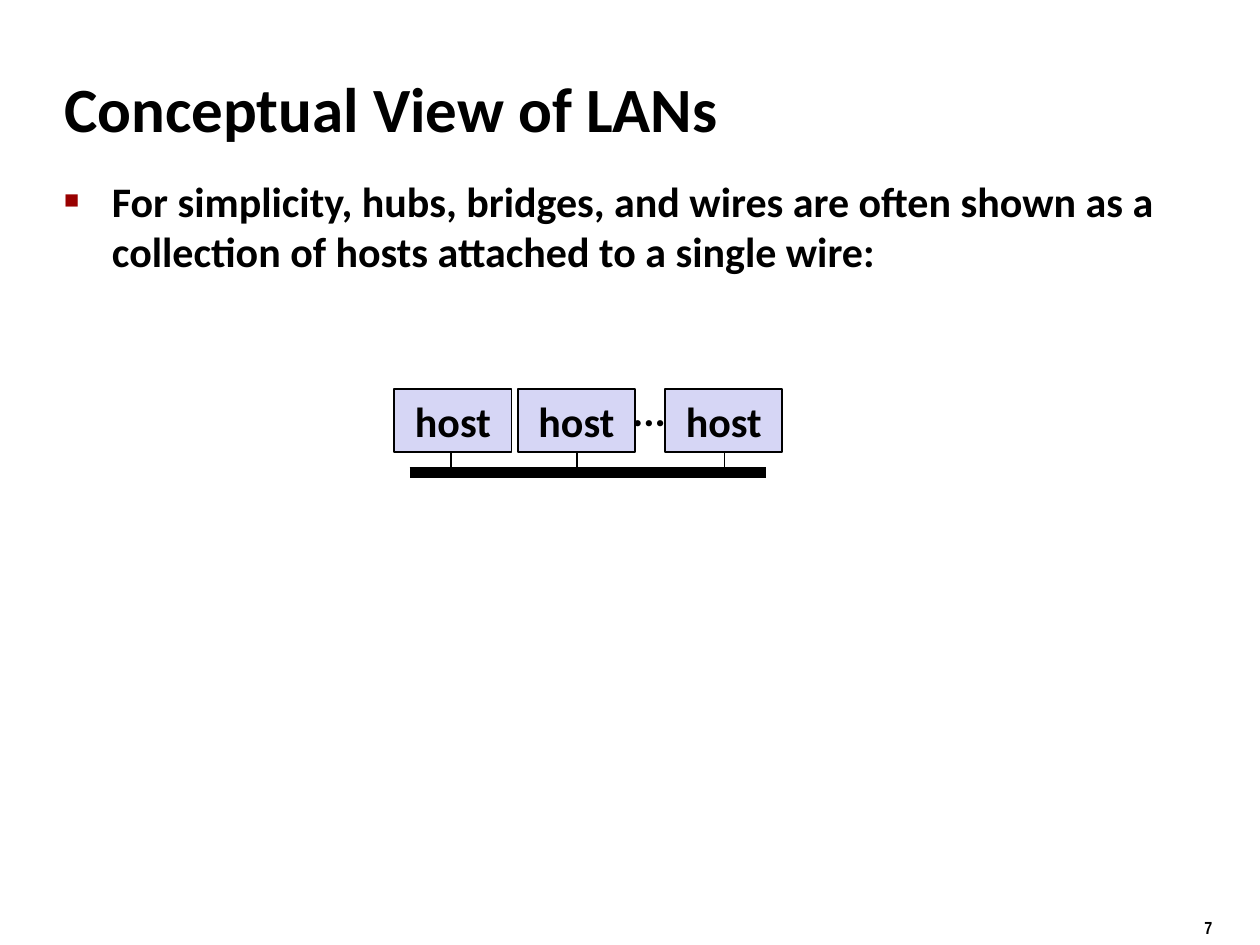
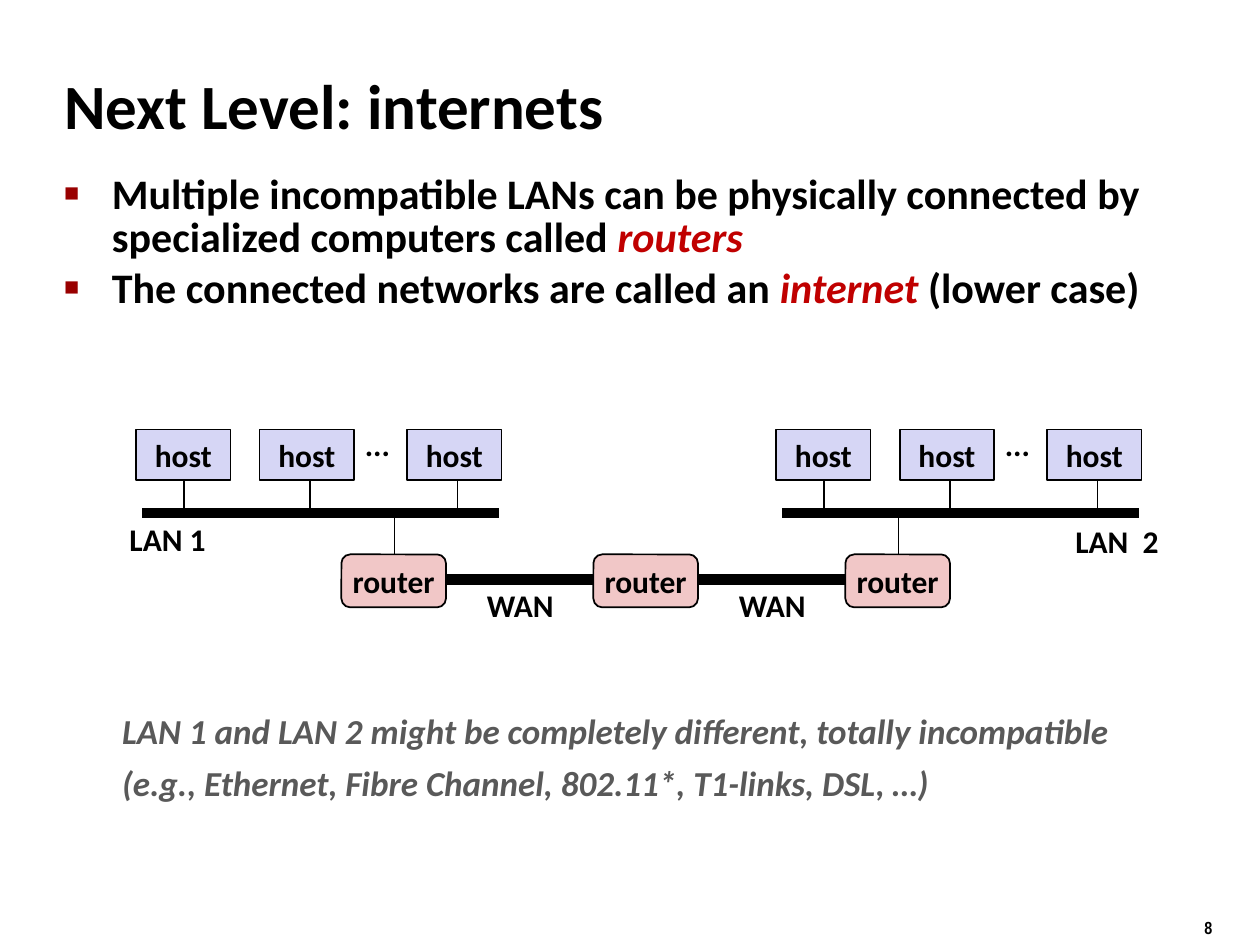
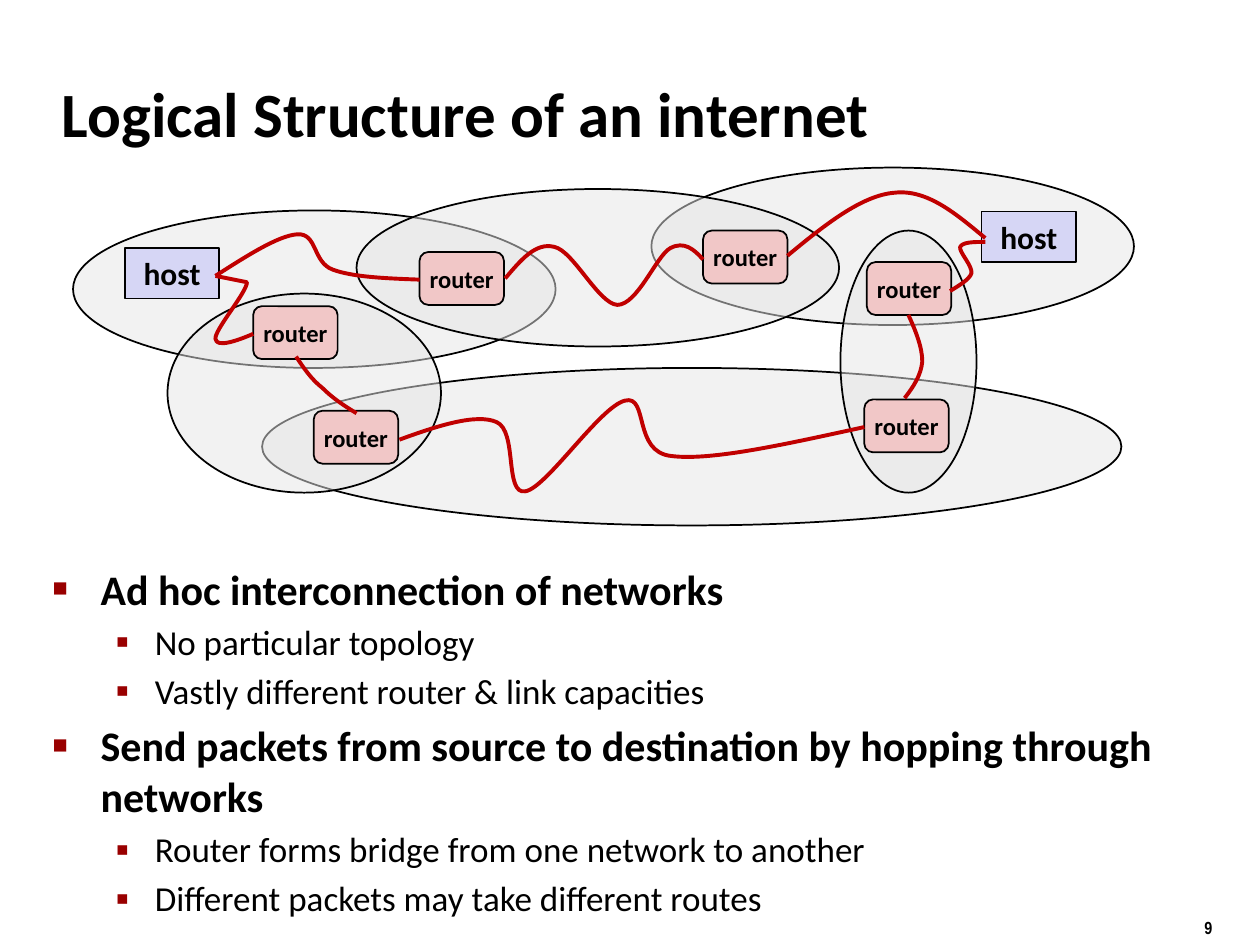
from lxml import etree
from pptx import Presentation
from pptx.dml.color import RGBColor
from pptx.enum.shapes import MSO_CONNECTOR, MSO_SHAPE
from pptx.enum.text import MSO_ANCHOR, MSO_AUTO_SIZE, PP_ALIGN
from pptx.oxml.ns import qn
from pptx.util import Inches, Pt

FONT = "Calibri"
COLORS = {
    "ink": "000000",
    "bullet": "990000",
    "accent": "C00000",
    "caption": "595959",
    "host": "D6D6F5",
    "router": "F1C7C7",
    "network": "E6E6E6",
}
# Bullet levels: text indent, hanging, space before, font size, bold, symbol, symbol size
LEVELS = [
    {"left": 0.38, "hang": 0.38, "before": 4.8, "size": 24, "bold": True,
     "char": "■", "percent": 60},
    {"left": 0.81, "hang": 0.31, "before": 4, "size": 20, "bold": False,
     "char": "▪", "percent": 110},
]
HOST_SIZES = {24: (0.93, 0.5), 18: (0.75, 0.4)}
DOTS_WIDTHS = {24: 0.48, 18: 0.41}
HOST_STEPS = (0, 0.98, 2.15)
TAP_STEPS = (0.33, 1.33, 2.5)
BUS_LENGTH = 2.83

NETWORKS = [
    (0.58, 1.67, 3.83, 1.25),
    (2.08, 2.92, 6.82, 1.25),
    (5.17, 1.33, 3.83, 1.25),
    (2.83, 1.5, 3.83, 1.25),
    (1.33, 2.33, 2.17, 1.58),
    (6.67, 1.83, 1.08, 2.08),
]
ROUTERS = [(2.01, 2.43), (2.49, 3.26), (3.33, 2), (5.58, 1.83), (6.86, 3.17), (6.88, 2.08)]
# Each route is a start point, at most one straight step, then three Bézier points per curve
ROUTES = [
    [(1.71, 2.19), (1.96, 2.24),
     (1.96, 2.32), (1.7, 2.62), (1.71, 2.69), (1.72, 2.76), (1.87, 2.71), (2.01, 2.65)],
    [(1.71, 2.19), (1.96, 2.03), (2.21, 1.87), (2.36, 1.86),
     (2.52, 1.85), (2.48, 2.08), (2.64, 2.14), (2.8, 2.2), (3.07, 2.21), (3.33, 2.22)],
    [(2.35, 2.83), (2.41, 2.92), (2.47, 3.01), (2.56, 3.08),
     (2.64, 3.16), (2.73, 3.22), (2.83, 3.28)],
    [(4.01, 2.21), (4.13, 2.07), (4.25, 1.92), (4.4, 1.96),
     (4.55, 1.99), (4.75, 2.41), (4.9, 2.42), (5.06, 2.42), (5.21, 2.03), (5.32, 1.97),
     (5.43, 1.91), (5.51, 1.98), (5.58, 2.06)],
    [(6.25, 2.03), (6.54, 1.79), (6.84, 1.55), (7.1, 1.53),
     (7.36, 1.5), (7.59, 1.7), (7.82, 1.89)],
    [(3.17, 3.49), (3.47, 3.38), (3.78, 3.28), (3.94, 3.35),
     (4.11, 3.42), (4, 3.93), (4.17, 3.9), (4.34, 3.87), (4.76, 3.23), (4.96, 3.18),
     (5.15, 3.13), (5.02, 3.59), (5.33, 3.62), (5.65, 3.66), (6.26, 3.52), (6.86, 3.39)],
    [(7.18, 3.16), (7.25, 3.07), (7.31, 2.98), (7.32, 2.87),
     (7.32, 2.76), (7.27, 2.63), (7.21, 2.5)],
    [(7.54, 2.31), (7.62, 2.26), (7.69, 2.22), (7.71, 2.17),
     (7.72, 2.11), (7.61, 2), (7.62, 1.96), (7.64, 1.92), (7.73, 1.92), (7.82, 1.92)],
]


def rgb(name):
    return RGBColor.from_string(COLORS[name])


def add_run(p, text, size, color="ink", **values):
    r = p.add_run()
    r.text = text
    r.font.color.rgb = rgb(color)
    values = {"name": FONT, "size": Pt(size), "bold": True, **values}
    for key, value in values.items():
        setattr(r.font, key, value)


def set_frame(tf, anchor=MSO_ANCHOR.TOP, wrap=True):
    values = {"word_wrap": wrap, "auto_size": MSO_AUTO_SIZE.NONE, "vertical_anchor": anchor}
    for key, value in values.items():
        setattr(tf, key, value)
    return tf


def add_box(slide, left, top, width, height):
    s = slide.shapes.add_textbox(*map(Inches, (left, top, width, height)))
    return set_frame(s.text_frame)


def center_text(s, text, size):
    tf = set_frame(s.text_frame, MSO_ANCHOR.MIDDLE, wrap=False)
    p = tf.paragraphs[0]
    p.alignment = PP_ALIGN.CENTER
    add_run(p, text, size)


def add_label(slide, text, left, top, width, height, size=18):
    s = slide.shapes.add_textbox(*map(Inches, (left, top, width, height)))
    center_text(s, text, size)


def add_outlined(slide, kind, fill, left, top, width, height):
    s = slide.shapes.add_shape(kind, *map(Inches, (left, top, width, height)))
    s.shadow.inherit = False
    s.fill.solid()
    s.fill.fore_color.rgb = rgb(fill)
    s.line.color.rgb = rgb("ink")
    s.line.width = Pt(1)
    return s


def add_host(slide, left, top, size=18):
    s = add_outlined(slide, MSO_SHAPE.RECTANGLE, "host", left, top, *HOST_SIZES[size])
    center_text(s, "host", size)


def add_router(slide, left, top, width, size):
    s = add_outlined(slide, MSO_SHAPE.ROUNDED_RECTANGLE, "router", left, top, width, 0.42)
    center_text(s, "router", size)


def add_network(slide, *bounds):
    """Half-transparent ellipse."""
    s = add_outlined(slide, MSO_SHAPE.OVAL, "network", *bounds)
    color = s.element.spPr.find(qn("a:solidFill"))[0]
    etree.SubElement(color, qn("a:alpha"), val="50000")


def add_line(slide, x1, y1, x2, y2, width=1):
    c = slide.shapes.add_connector(MSO_CONNECTOR.STRAIGHT, *map(Inches, (x1, y1, x2, y2)))
    c.line.color.rgb = rgb("ink")
    c.line.width = Pt(width)
    etree.SubElement(c.element.spPr, qn("a:effectLst"))


def add_lan(slide, left, y, size, overhang):
    """Three hosts tapped into one bus; overhang is how far they start left of it."""
    add_line(slide, left, y, left + BUS_LENGTH, y, 6)
    for step in TAP_STEPS:
        add_line(slide, left + step, y - 0.33, left + step, y)
    for step in HOST_STEPS:
        add_host(slide, left - overhang + step, y - 0.66, size)
    add_label(slide, "...", left + 1.66, y - 0.75, DOTS_WIDTHS[size], HOST_SIZES[size][1], size)


def bend(s, straight):
    """Turn the line steps after the straight ones into cubic curves, three points each."""
    steps = list(s.element.iter(qn("a:lnTo")))[straight:]
    for i in range(0, len(steps), 3):
        curve = etree.Element(qn("a:cubicBezTo"))
        steps[i].addprevious(curve)
        for step in steps[i:i + 3]:
            curve.append(step[0])
            step.getparent().remove(step)


def add_route(slide, route):
    points = [tuple(map(Inches, point)) for point in route]
    builder = slide.shapes.build_freeform(*points[0], scale=1.0)
    builder.add_line_segments(points[1:], close=False)
    s = builder.convert_to_shape()
    bend(s, straight=(len(route) - 1) % 3)
    s.shadow.inherit = False
    s.fill.background()
    s.line.color.rgb = rgb("accent")
    s.line.width = Pt(2.25)


def add_bullet(p, style):
    pPr = p._p.get_or_add_pPr()
    pPr.set("marL", str(Inches(style["left"])))
    pPr.set("indent", str(-Inches(style["hang"])))
    color = etree.SubElement(pPr, qn("a:buClr"))
    etree.SubElement(color, qn("a:srgbClr"), val=COLORS["bullet"])
    etree.SubElement(pPr, qn("a:buSzPct"), val=str(style["percent"] * 1000))
    etree.SubElement(pPr, qn("a:buFont"), typeface="Arial")
    etree.SubElement(pPr, qn("a:buChar"), char=style["char"])


def add_body(slide, bounds, items, spacing=None):
    """Bulleted text; items are (level, runs), and every second run is emphasised."""
    tf = add_box(slide, *bounds)
    for i, (level, runs) in enumerate(items):
        p = tf.add_paragraph() if i else tf.paragraphs[0]
        style = LEVELS[level]
        p.level = level
        p.line_spacing = spacing
        p.space_before = Pt(style["before"])
        add_bullet(p, style)
        for k, text in enumerate(runs):
            emphasis = {"color": "accent", "italic": True} if k % 2 else {}
            add_run(p, text, style["size"], bold=style["bold"], **emphasis)


def add_slide(prs, title, number, bounds):
    slide = prs.slides.add_slide(prs.slide_layouts[5])
    s = slide.shapes.title
    for key, value in zip(("left", "top", "width", "height"), bounds):
        setattr(s, key, Inches(value))
    p = set_frame(s.text_frame, MSO_ANCHOR.MIDDLE).paragraphs[0]
    p.alignment = PP_ALIGN.LEFT
    add_run(p, title, 36)
    tf = add_box(slide, 9.46, 7.23, 0.5, 0.26)
    add_run(tf.paragraphs[0], str(number), 10, name="Arial Narrow")
    return slide


def build_lan_view(prs):
    slide = add_slide(prs, "Conceptual View of LANs", 7, (0.41, 0.54, 7.67, 0.63))
    add_body(slide, (0.41, 1.34, 9.08, 0.33), [
        (0, ["For simplicity, hubs, bridges, and wires are often shown as a "
             "collection of hosts attached to a single wire:"]),
    ])
    add_lan(slide, 3.25, 3.75, 24, 0.12)


def build_internets(prs):
    slide = add_slide(prs, "Next Level: internets", 8, (0.41, 0.51, 7.05, 0.63))
    add_body(slide, (0.41, 1.34, 9.08, 1.33), [
        (0, ["Multiple incompatible LANs can be physically connected by "
             "specialized computers called ", "routers"]),
        (0, ["The connected networks are called an ", "internet ", "(lower case)"]),
    ], spacing=0.85)
    for left in (1.13, 6.21):
        add_lan(slide, left, 4.07, 18, 0.05)
    for x in (3.13, 7.13):
        add_line(slide, x, 4.07, x, 4.4)
    for x in (3.46, 5.46):
        add_line(slide, x, 4.6, x + 1.34, 4.6, 6)
        add_label(slide, "WAN", x + 0.27, 4.6, 0.8, 0.4)
    for left in (2.71, 4.71, 6.71):
        add_router(slide, left, 4.4, 0.83, 18)
    add_label(slide, "LAN 1", 0.87, 4.08, 0.92, 0.4)
    add_label(slide, "LAN  2", 8.37, 4.09, 0.99, 0.4)

    tf = add_box(slide, 0.87, 5.58, 8.88, 1.18)
    first, second = tf.paragraphs[0], tf.add_paragraph()
    second.space_before = Pt(6)
    for p, text in (
        (first, "LAN 1 and LAN 2 might be completely different, totally incompatible"),
        (second, "(e.g., Ethernet, Fibre Channel, 802.11*, T1-links, DSL, …)"),
    ):
        add_run(p, text, 20, "caption", italic=True)


def build_logical_structure(prs):
    slide = add_slide(prs, "Logical Structure of an internet", 9, (0.39, 0.48, 8.3, 0.83))
    add_body(slide, (0.32, 4.42, 9.08, 2.3), [
        (0, ["Ad hoc interconnection of networks"]),
        (1, ["No particular topology"]),
        (1, ["Vastly different router & link capacities"]),
        (0, ["Send packets from source to destination by hopping through networks"]),
        (1, ["Router forms bridge from one network to another"]),
        (1, ["Different packets may take different routes"]),
    ])
    for bounds in NETWORKS:
        add_network(slide, *bounds)
    for left, top in ROUTERS:
        add_router(slide, left, top, 0.67, 14)
    for left, top in ((7.79, 1.68), (0.99, 1.97)):
        add_host(slide, left, top)
    for route in ROUTES:
        add_route(slide, route)


def main():
    prs = Presentation()
    prs.slide_width, prs.slide_height = Inches(10), Inches(7.5)
    build_lan_view(prs)
    build_internets(prs)
    build_logical_structure(prs)
    prs.save("out.pptx")


if __name__ == "__main__":
    main()
